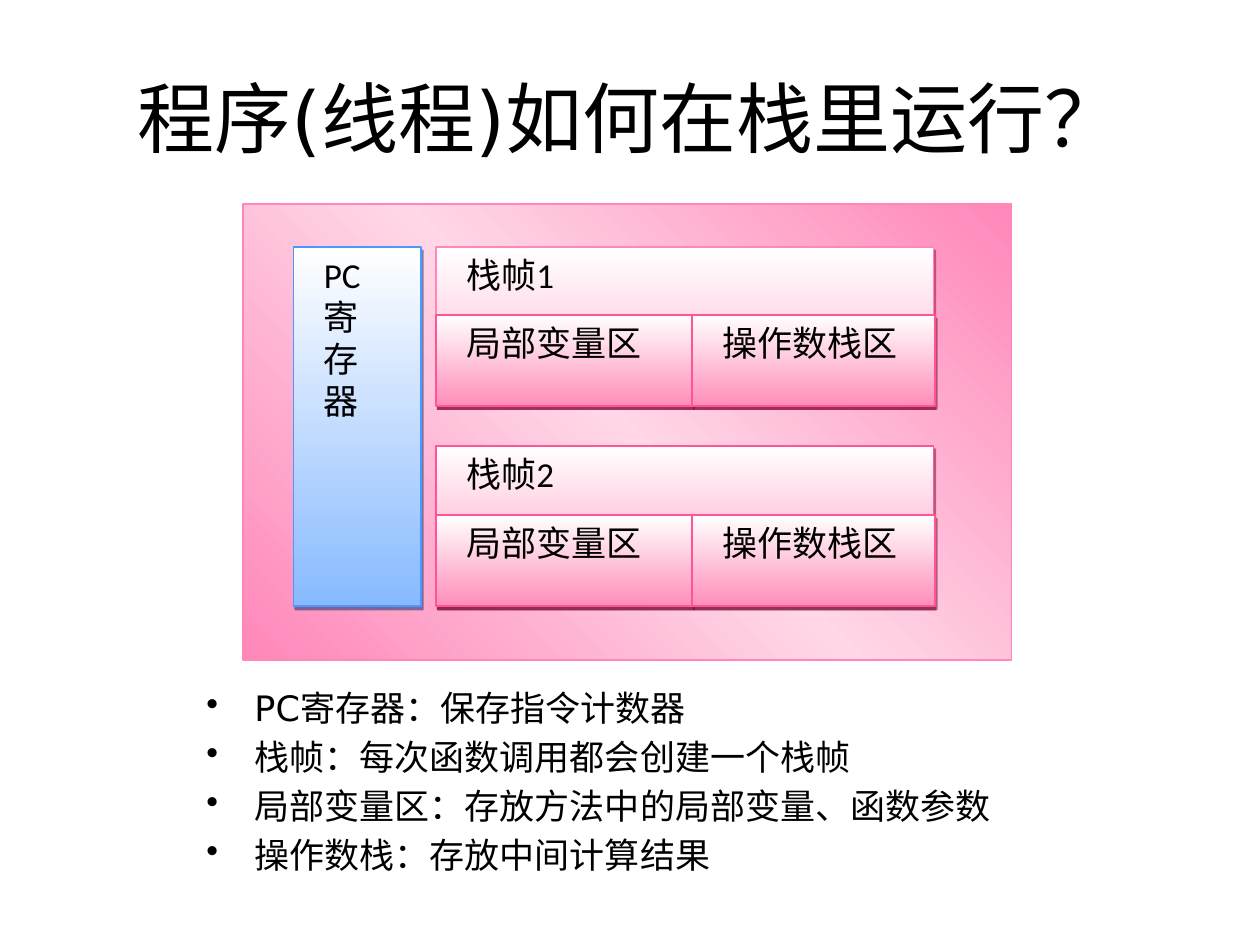
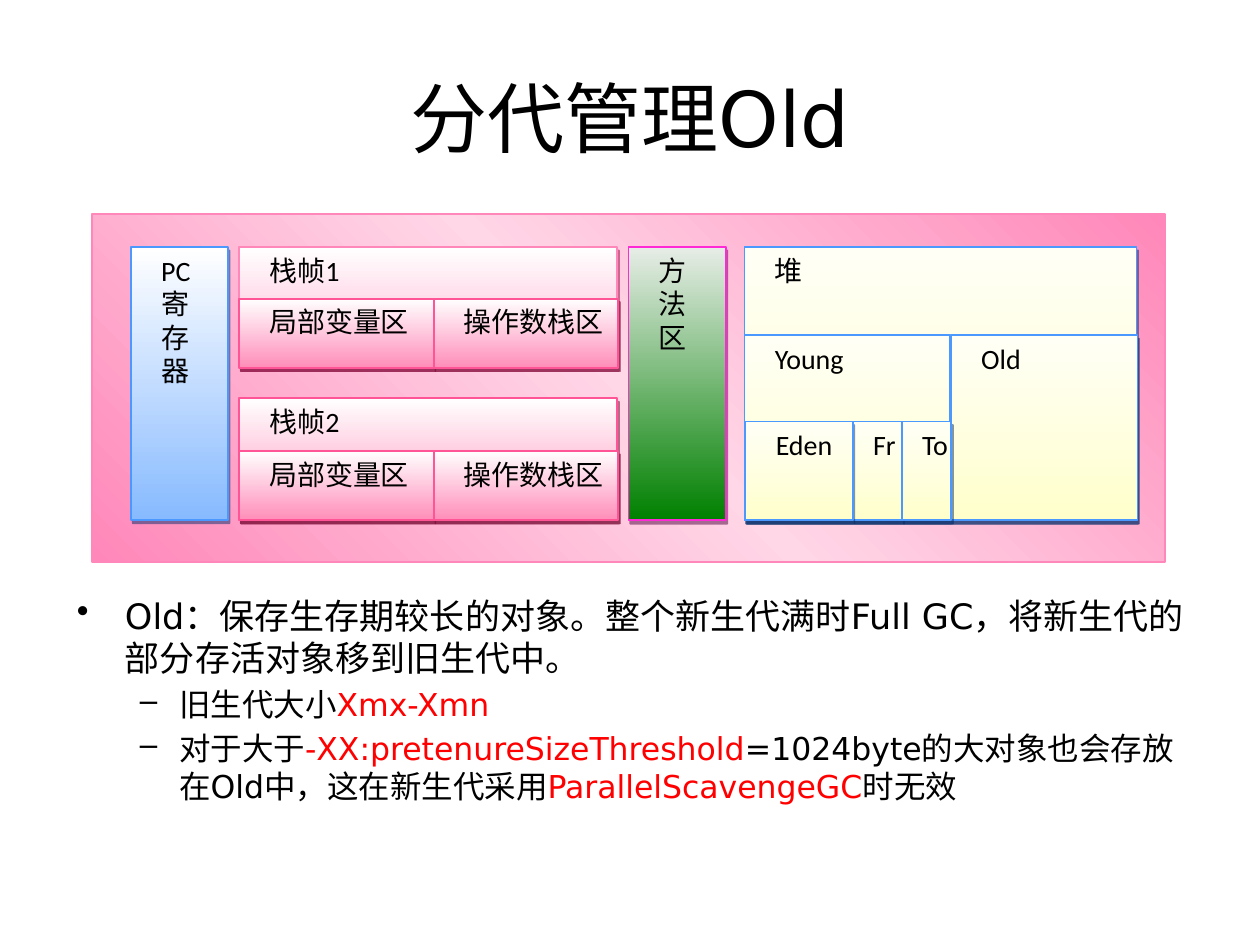
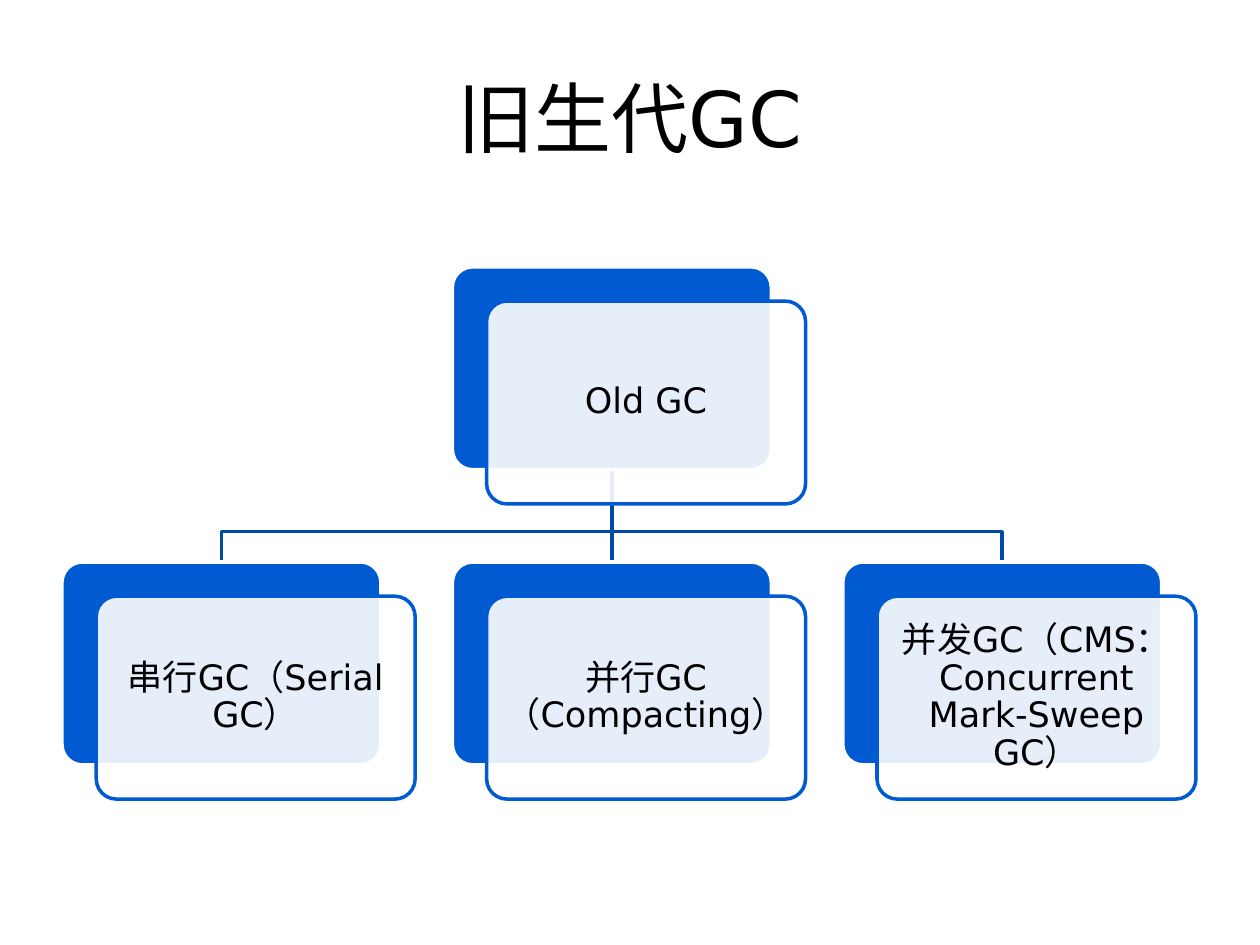
"""Three slides on stack frames, generational memory and old-generation GC."""
import lxml.etree
import pptx
import pptx.dml.color
import pptx.enum.shapes
import pptx.enum.text
import pptx.oxml.ns
import pptx.util

Cm = pptx.util.Cm
Pt = pptx.util.Pt
colour = pptx.dml.color.RGBColor.from_string
qn = pptx.oxml.ns.qn
RECTANGLE = pptx.enum.shapes.MSO_SHAPE.RECTANGLE
ROUNDED = pptx.enum.shapes.MSO_SHAPE.ROUNDED_RECTANGLE
MIDDLE = pptx.enum.text.MSO_ANCHOR.MIDDLE
TOP = pptx.enum.text.MSO_ANCHOR.TOP
CENTER = pptx.enum.text.PP_ALIGN.CENTER
LEFT = pptx.enum.text.PP_ALIGN.LEFT

BLACK, RED, WHITE = "000000", "FF0000", "FFFFFF"
CARD_BLUE, LINK_BLUE = "005BD3", "0049A9"
BULLETS = [("•", 0.97, -0.97), ("–", 2.06, -0.79)]
PANEL = (["FF87B9", "FFD7E7", "FF87B9"], "FF87B9", None)
REGISTER = (["FFFFFF", "87BAFF"], "4B98FF", "002C69")
FIRST_FRAME = (["FFFFFF", "FFAFD0"], "FF87B9", "9A0040")
FRAME = (["FFFFFF", "FF8EB9"], "FF5597", "71002C")
METHOD = (["E7EDE7", "008000"], "FF2AD6", "4D003F")
HEAP = (["FFFFF6", "FFFFCC"], "4B98FF", "002C69")


def add_para(shape, runs, size, font="DejaVu Sans", indent=0, level=None):
    """Add one paragraph of (text, colour) runs, bulleted when a level is given."""
    frame = shape.text_frame
    frame.word_wrap = True
    para = frame.paragraphs[0]
    if para.runs:
        para = frame.add_paragraph()
        para.space_before = Pt(0 if level is None else size * 0.2)
    para.alignment = LEFT
    properties = para._p.get_or_add_pPr()
    margin = 0
    if level is not None:
        mark, margin, indent = BULLETS[level]
        para.level = level
        lxml.etree.SubElement(properties, qn("a:buChar"), char=mark)
    properties.set("marL", str(Cm(margin)))
    properties.set("indent", str(Cm(indent)))
    for text, hue in runs:
        span = para.add_run()
        span.text = text
        span.font.size = Pt(size)
        span.font.name = font
        span.font.color.rgb = colour(hue)
    return para


def add_block(page, place, style, lines=(), size=16, angle=270):
    """Add a gradient rectangle with a hard shadow and left-aligned lines."""
    stops, outline, shade = style
    box = page.shapes.add_shape(RECTANGLE, *[Cm(value) for value in place])
    box.shadow.inherit = False
    box.line.color.rgb = colour(outline)
    box.line.width = Pt(1)
    box.fill.gradient()
    box.fill.gradient_angle = angle
    properties = box._element.spPr
    ramp = properties.find(".//" + qn("a:gsLst"))
    ramp.clear()
    for index, hue in enumerate(stops):
        position = str(100000 * index // (len(stops) - 1))
        stop = lxml.etree.SubElement(ramp, qn("a:gs"), pos=position)
        lxml.etree.SubElement(stop, qn("a:srgbClr"), val=hue)
    if shade:
        shadow = lxml.etree.SubElement(
            properties.find(qn("a:effectLst")), qn("a:outerShdw"), blurRad="0",
            dist=str(Pt(2.2)), dir=str(63 * 60000), algn="ctr", rotWithShape="0")
        tint = lxml.etree.SubElement(shadow, qn("a:srgbClr"), val=shade)
        lxml.etree.SubElement(tint, qn("a:alpha"), val="50000")
    box.text_frame.vertical_anchor = TOP
    for line in lines:
        add_para(box, [(line, BLACK)], size, "Calibri", 0.36)
    return box


deck = pptx.Presentation()
deck.slide_width = Cm(25.4)
deck.slide_height = Cm(19.05)

pages = []
for title in ["程序(线程)如何在栈里运行？", "分代管理Old", "旧生代GC"]:
    page = deck.slides.add_slide(deck.slide_layouts[6])
    box = page.shapes.add_textbox(Cm(1.27), Cm(0.76), Cm(22.86), Cm(3.18))
    box.text_frame.vertical_anchor = MIDDLE
    add_para(box, [(title, BLACK)], 44).alignment = CENTER
    pages.append(page)
stack_page, old_page, collector_page = pages

notes = [
    (stack_page, (3.91, 13.72, 16.64, 4.39), [
        (0, 20, [("PC寄存器：保存指令计数器", BLACK)]),
        (0, 20, [("栈帧：每次函数调用都会创建一个栈帧", BLACK)]),
        (0, 20, [("局部变量区：存放方法中的局部变量、函数参数", BLACK)]),
        (0, 20, [("操作数栈：存放中间计算结果", BLACK)]),
    ]),
    (old_page, (1.3, 11.86, 22.86, 7.19), [
        (0, 20, [("Old：保存生存期较长的对象。整个新生代满时Full GC，"
                  "将新生代的部分存活对象移到旧生代中。", BLACK)]),
        (1, 18, [("旧生代大小", BLACK), ("Xmx-Xmn", RED)]),
        (1, 18, [("对于大于", BLACK), ("-XX:pretenureSizeThreshold", RED),
                 ("=1024byte的大对象也会存放在Old中，这在新生代采用", BLACK),
                 ("ParallelScavengeGC", RED), ("时无效", BLACK)]),
    ]),
]
for page, place, lines in notes:
    box = page.shapes.add_textbox(*[Cm(value) for value in place])
    for level, size, runs in lines:
        add_para(box, runs, size, level=level)

stack_blocks = [
    (0, 0, 2.57, 7.24, REGISTER, ["PC", "寄", "存", "器"]),
    (2.87, 0, 10.03, 3.2, FIRST_FRAME, ["栈帧1"]),
    (2.87, 1.37, 5.16, 1.83, FRAME, ["局部变量区"]),
    (8.03, 1.37, 4.9, 1.83, FRAME, ["操作数栈区"]),
    (2.87, 4.01, 10.03, 3.23, FRAME, ["栈帧2"]),
    (2.87, 5.41, 5.16, 1.83, FRAME, ["局部变量区"]),
    (8.03, 5.41, 4.9, 1.83, FRAME, ["操作数栈区"]),
]
block_top = 4.98
for page, panel, block_left, scale, size in [
    (stack_page, (4.9, 4.11, 15.49, 9.19), 5.92, 1, 20),
    (old_page, (1.85, 4.32, 21.64, 7.01), 2.64, 0.76, 16),
]:
    add_block(page, panel, PANEL, angle=45)
    for left, top, width, height, style, lines in stack_blocks:
        place = (block_left + left * scale, block_top + top * scale,
                 width * scale, height * scale)
        add_block(page, place, style, lines, size)

add_block(old_page, (12.67, block_top, 1.96, 5.51), METHOD, ["方", "法", "区"])
for label, left, top, width, height in [
    ("堆", 15.01, block_top, 7.9, 5.51),
    ("Young", 15.01, 6.76, 4.14, 3.73),
    ("Old", 19.17, 6.76, 3.76, 3.73),
    ("Fr", 17.2, 8.5, 0.99, 1.99),
    ("To", 18.19, 8.5, 0.99, 1.99),
    ("Eden", 15.03, 8.5, 2.16, 1.99),
]:
    box = add_block(old_page, (left, top, width, height), HEAP, [label])
    if width < 1:
        box.text_frame.margin_left = box.text_frame.margin_right = Cm(0.04)

card_width, card_height = 6.43, 4.09
root_left, root_top, child_top, child_step = 9.12, 5.38, 11.33, 7.87
root_middle = root_left + card_width / 2
link_top, link_bend = 9.45, 10.72

for side in [1, -1]:
    child_middle = root_middle + side * child_step
    outline = collector_page.shapes.build_freeform(
        Cm(root_middle), Cm(link_top), scale=1.0)
    outline.add_line_segments(
        [(Cm(root_middle), Cm(link_bend)), (Cm(child_middle), Cm(link_bend)),
         (Cm(child_middle), Cm(child_top))], close=False)
    elbow = outline.convert_to_shape()
    elbow.shadow.inherit = False
    elbow.fill.background()
    elbow.line.color.rgb = colour(LINK_BLUE)
    elbow.line.width = Pt(2)
stem = collector_page.shapes.add_connector(
    pptx.enum.shapes.MSO_CONNECTOR.STRAIGHT,
    Cm(root_middle), Cm(link_top), Cm(root_middle), Cm(child_top))
lxml.etree.SubElement(stem._element.spPr, qn("a:effectLst"))
stem.line.color.rgb = colour(LINK_BLUE)
stem.line.width = Pt(2)

for label, column, top in [
    ("Old GC", 0, root_top),
    ("串行GC（Serial GC）", -1, child_top),
    ("并行GC（Compacting）", 0, child_top),
    ("并发GC（CMS：Concurrent Mark-Sweep GC）", 1, child_top),
]:
    left = root_left + column * child_step
    for offset, fill, outline in [(0, CARD_BLUE, WHITE), (0.69, WHITE, CARD_BLUE)]:
        card = collector_page.shapes.add_shape(
            ROUNDED, Cm(left + offset), Cm(top + offset),
            Cm(card_width), Cm(card_height))
        card.adjustments[0] = 0.1
        card.shadow.inherit = False
        card.fill.solid()
        card.fill.fore_color.rgb = colour(fill)
        card.line.color.rgb = colour(outline)
        card.line.width = Pt(2)
    tint = card._element.spPr.find(qn("a:solidFill")).find(qn("a:srgbClr"))
    lxml.etree.SubElement(tint, qn("a:alpha"), val="90000")
    frame = card.text_frame
    frame.vertical_anchor = MIDDLE
    frame.margin_left = frame.margin_right = Cm(0.08)
    frame.margin_top = frame.margin_bottom = Cm(0.08)
    para = add_para(card, [(label, BLACK)], 20)
    para.alignment = CENTER
    para.line_spacing = 0.9

deck.save("out.pptx")
